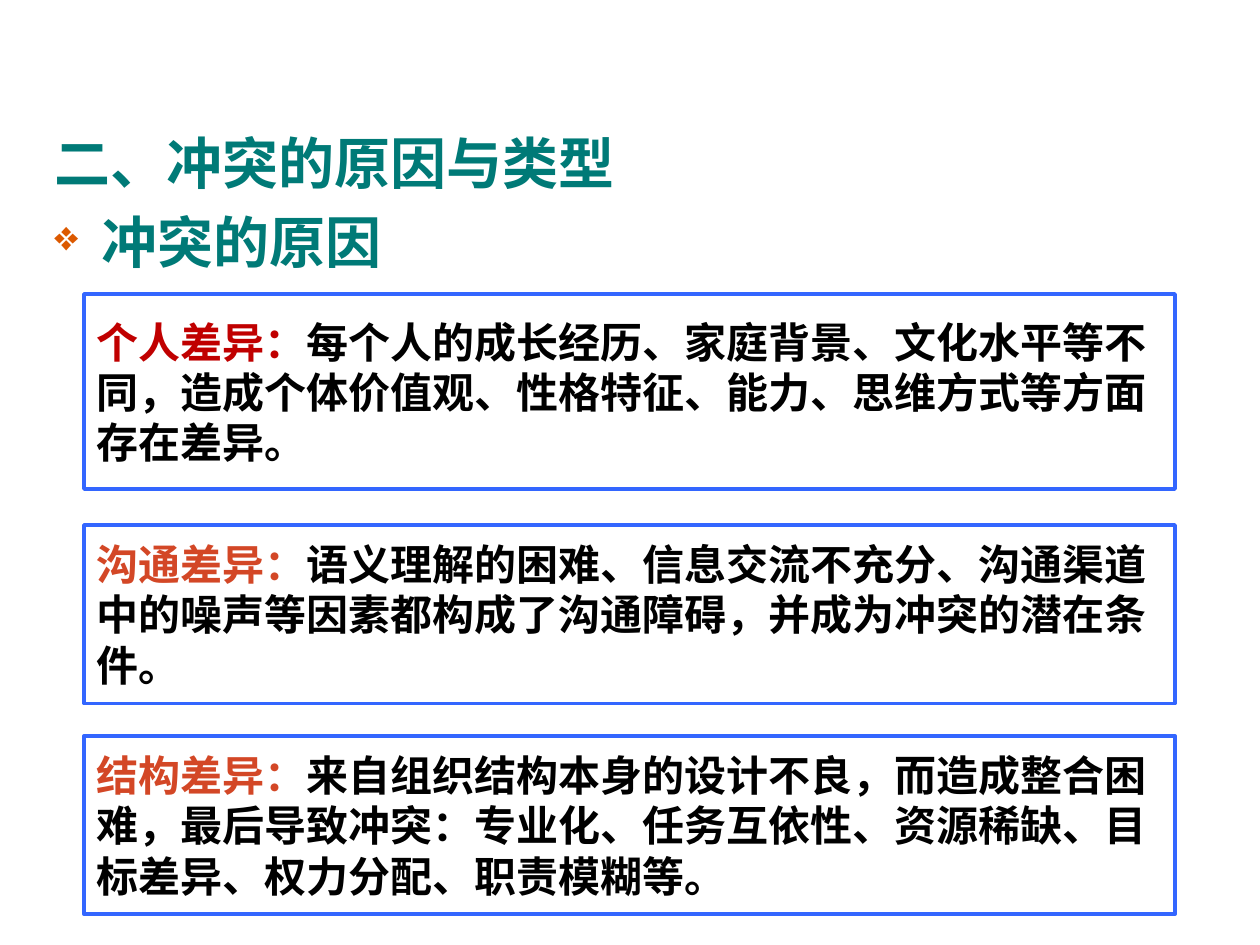
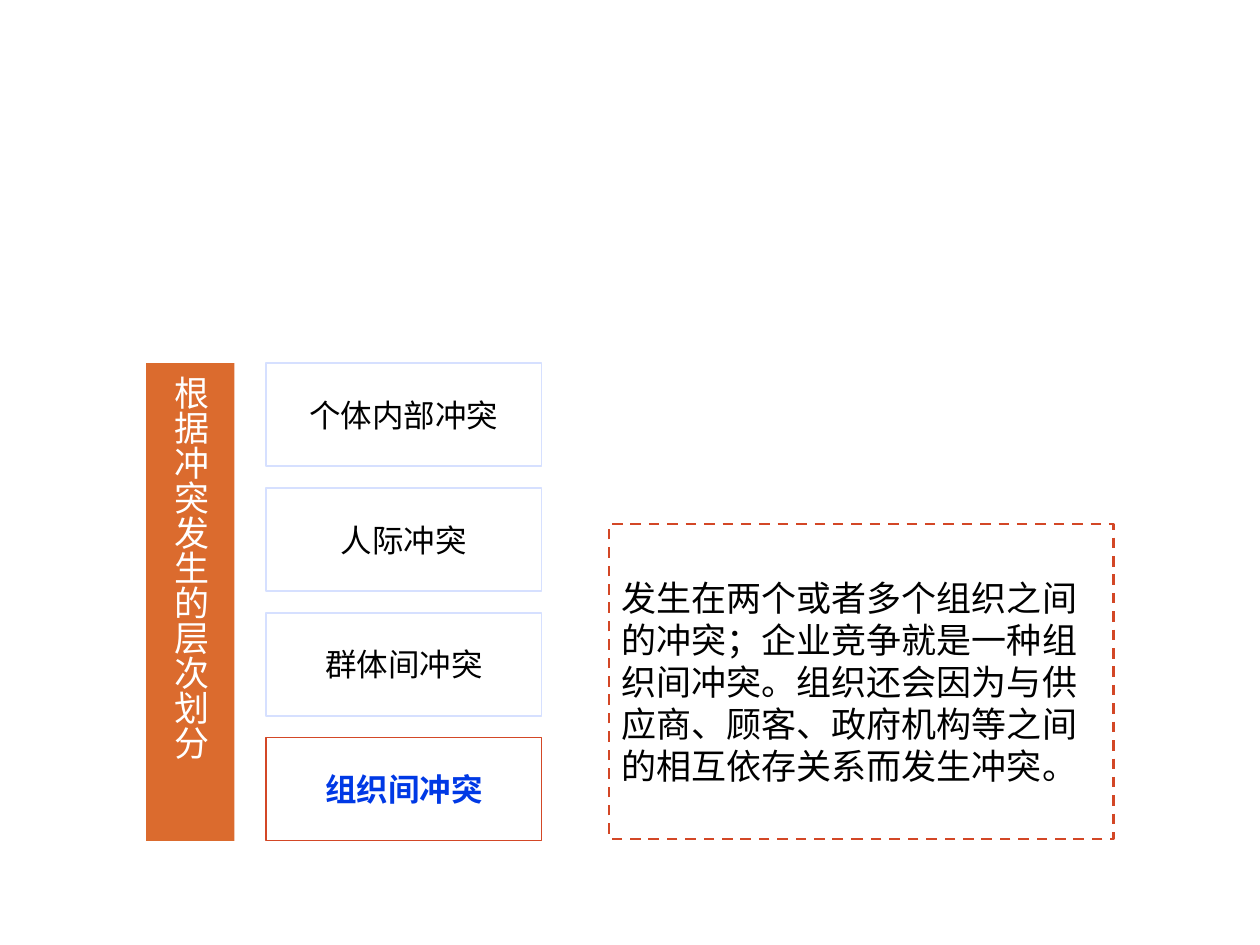
from lxml.etree import SubElement
from pptx import Presentation
from pptx.dml.color import RGBColor
from pptx.enum.dml import MSO_LINE
from pptx.enum.lang import MSO_LANGUAGE_ID
from pptx.enum.shapes import MSO_SHAPE
from pptx.enum.text import MSO_ANCHOR, PP_ALIGN
from pptx.oxml.ns import qn
from pptx.util import Pt

WHITE, BLACK = "FFFFFF", "000000"
TEAL, BLUE, PALE_BLUE, STRONG_BLUE = "007A77", "3366FF", "D6E0FF", "0039E5"
RED, RUST, ORANGE, BULLET_ORANGE = "C00000", "D34726", "DB6B2E", "DC5900"
LATIN_FONT, CHINESE_FONT = "Arial", "Noto Sans CJK SC"

CAUSES = [
    (168, 111.5, RED, "个人差异：",
     "每个人的成长经历、家庭背景、文化水平等不同，造成个体价值观、性格特征、能力、思维方式等方面存在差异。"),
    (300, 102, RUST, "沟通差异：",
     "语义理解的困难、信息交流不充分、沟通渠道中的噪声等因素都构成了沟通障碍，并成为冲突的潜在条件。"),
    (420.5, 102, RUST, "结构差异：",
     "来自组织结构本身的设计不良，而造成整合困难，最后导致冲突：专业化、任务互依性、资源稀缺、目标差异、权力分配、职责模糊等。"),
]
LEVELS = ["个体内部冲突", "人际冲突", "群体间冲突", "组织间冲突"]


def color(value):
    return RGBColor.from_string(value)


class Deck:
    def __init__(self):
        self.presentation = Presentation()
        self.presentation.slide_width = Pt(720)
        self.presentation.slide_height = Pt(540)
        self.slide = None

    def new_slide(self):
        self.slide = self.presentation.slides.add_slide(self.presentation.slide_layouts[6])

    def text_box(self, left, top, width, height):
        shape = self.slide.shapes.add_textbox(Pt(left), Pt(top), Pt(width), Pt(height))
        shape.text_frame.word_wrap = True
        return shape.text_frame

    def box(self, left, top, width, height, fill=WHITE, line=None, line_width=1, dash=None):
        shape = self.slide.shapes.add_shape(
            MSO_SHAPE.RECTANGLE, Pt(left), Pt(top), Pt(width), Pt(height))
        shape.shadow.inherit = False
        shape.fill.solid()
        shape.fill.fore_color.rgb = color(fill)
        if line:
            shape.line.color.rgb = color(line)
            shape.line.width = Pt(line_width)
            shape.line.dash_style = dash
        else:
            shape.line.fill.background()
        shape.text_frame.word_wrap = True
        shape.text_frame.vertical_anchor = MSO_ANCHOR.MIDDLE
        return shape

    def add_text(self, paragraph, runs, size, font=CHINESE_FONT, bold=False,
                 align=PP_ALIGN.LEFT, space_before=0):
        paragraph.alignment = align
        paragraph.space_before = Pt(space_before)
        for text, text_color in runs:
            run = paragraph.add_run()
            run.text = text
            run.font.size = Pt(size)
            run.font.bold = bold
            run.font.name = font
            run.font.color.rgb = color(text_color)
            run.font.language_id = MSO_LANGUAGE_ID.SIMPLIFIED_CHINESE
            SubElement(run._r.get_or_add_rPr(), qn("a:ea"), typeface=CHINESE_FONT)

    def heading(self, paragraph, text):
        self.add_text(paragraph, [(text, TEAL)], 32, LATIN_FONT, True, space_before=6.4)

    def bullet(self, paragraph, character, bullet_color, percent, indent):
        properties = paragraph._p.get_or_add_pPr()
        properties.set("marL", str(Pt(indent)))
        properties.set("indent", str(-Pt(indent)))
        bullet_fill = SubElement(properties, qn("a:buClr"))
        SubElement(bullet_fill, qn("a:srgbClr"), val=bullet_color)
        SubElement(properties, qn("a:buSzPct"), val=str(percent * 1000))
        SubElement(properties, qn("a:buChar"), char=character)


def build_causes(deck):
    deck.new_slide()
    headings = deck.text_box(24, 70, 672.5, 330)
    deck.heading(headings.paragraphs[0], "二、冲突的原因与类型")
    topic = headings.add_paragraph()
    deck.heading(topic, "冲突的原因")
    deck.bullet(topic, "❖", BULLET_ORANGE, 75, 27)
    for top, height, label_color, label, explanation in CAUSES:
        shape = deck.box(48, top, 623.5, height, line=BLUE, line_width=2)
        deck.add_text(shape.text_frame.paragraphs[0],
                      [(label, label_color), (explanation, BLACK)],
                      24, LATIN_FONT, True, space_before=4.8)


def build_levels(deck):
    deck.new_slide()
    top = 207.5
    banner = deck.box(83.5, top, 50.5, 273, fill=ORANGE)
    banner.text_frame._txBody.bodyPr.set("vert", "eaVert")
    deck.add_text(banner.text_frame.paragraphs[0], [("根据冲突发生的层次划分", WHITE)], 20)

    for index, level in enumerate(LEVELS):
        current = index == len(LEVELS) - 1
        shape = deck.box(152, top + index * 71.3, 157.5, 59,
                         line=RUST if current else PALE_BLUE)
        deck.add_text(shape.text_frame.paragraphs[0],
                      [(level, STRONG_BLUE if current else BLACK)],
                      18, bold=current, align=PP_ALIGN.CENTER)

    detail = deck.box(348, 299.5, 288.5, 180, line=RUST, line_width=1.5, dash=MSO_LINE.DASH)
    deck.add_text(detail.text_frame.paragraphs[0], [(
        "发生在两个或者多个组织之间的冲突；企业竞争就是一种组织间冲突。"
        "组织还会因为与供应商、顾客、政府机构等之间的相互依存关系而发生冲突。", BLACK)], 20)


def main():
    deck = Deck()
    build_causes(deck)
    build_levels(deck)
    deck.presentation.save("out.pptx")


if __name__ == "__main__":
    main()
